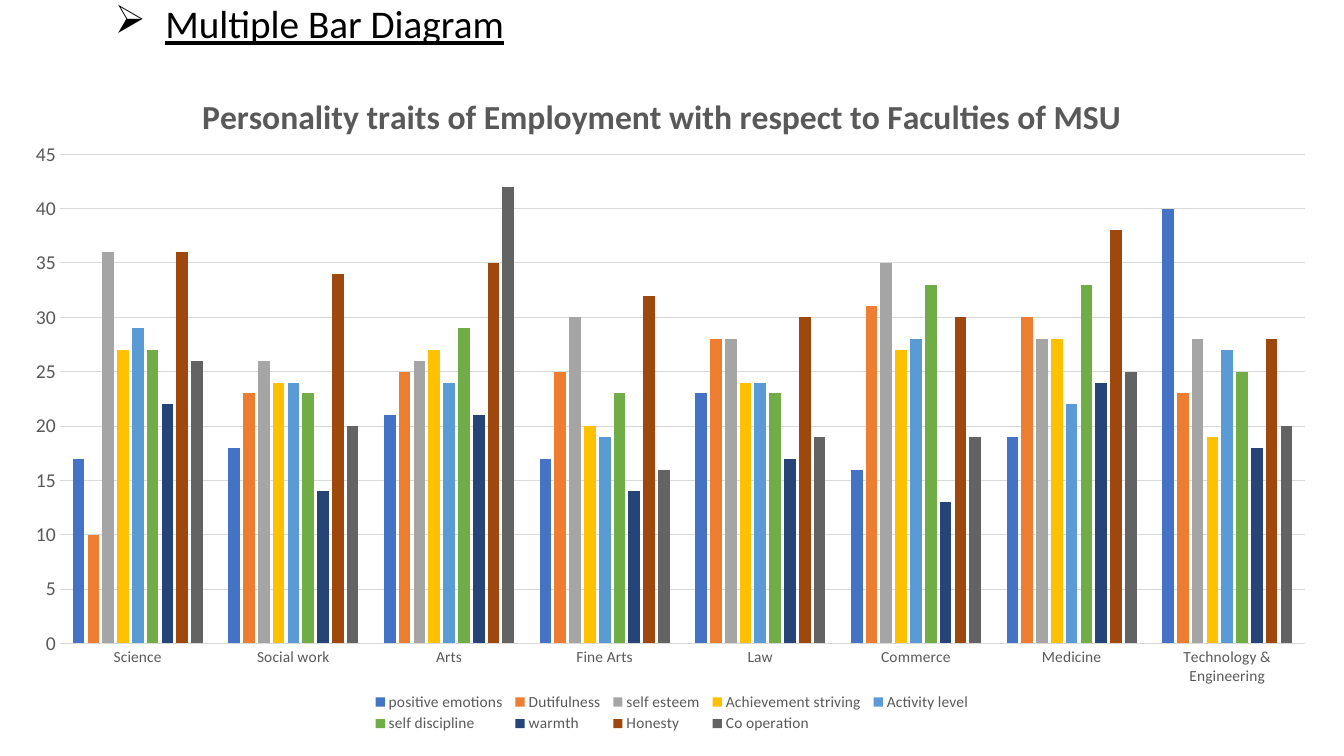
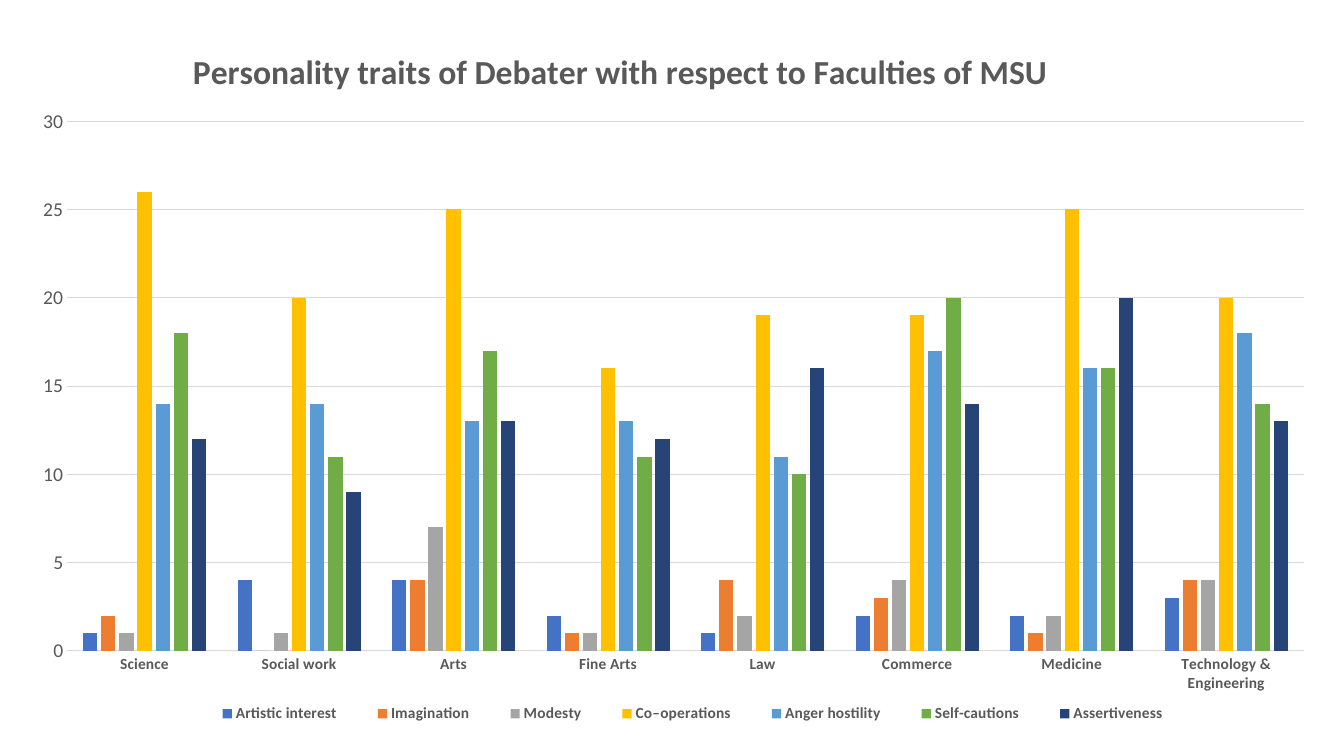
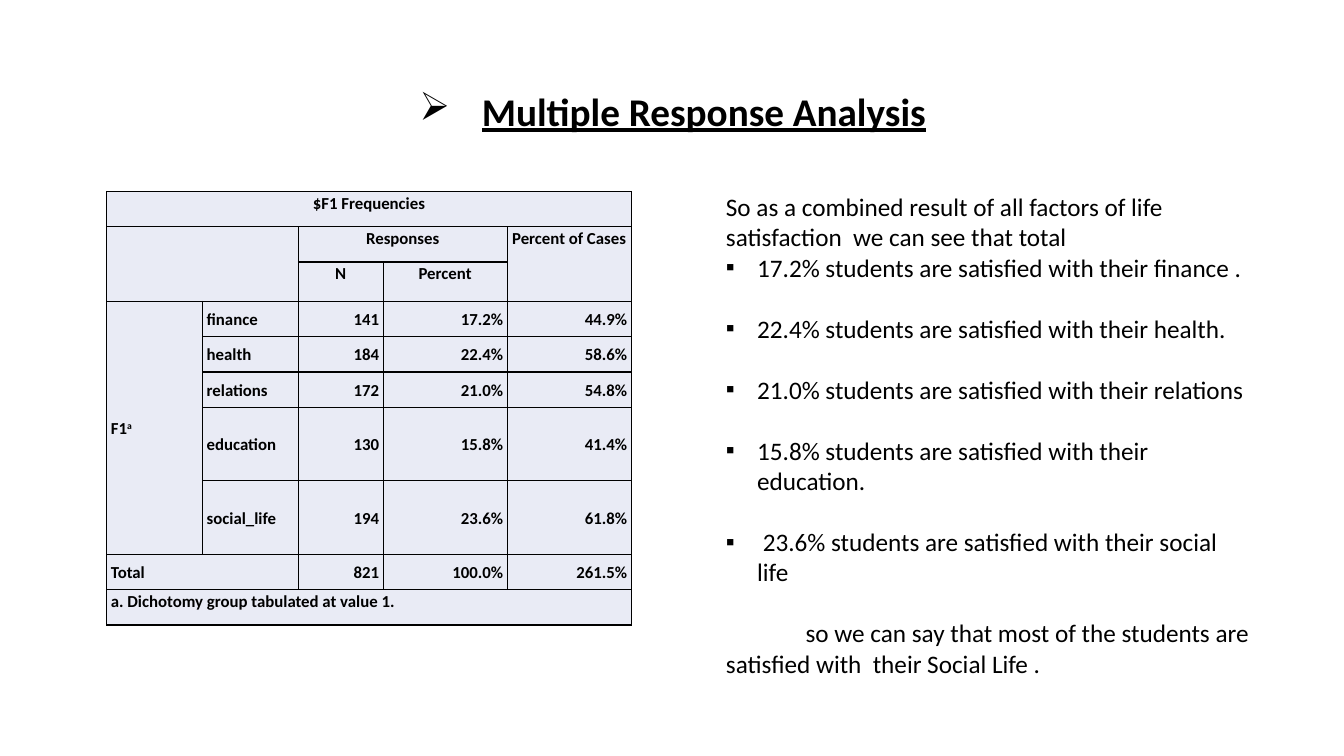
from lxml import etree
from pptx import Presentation
from pptx.chart.data import CategoryChartData
from pptx.dml.color import RGBColor
from pptx.enum.chart import XL_CHART_TYPE, XL_LEGEND_POSITION, XL_TICK_MARK
from pptx.enum.text import MSO_ANCHOR, MSO_AUTO_SIZE, PP_ALIGN
from pptx.oxml.ns import qn
from pptx.util import Inches, Pt

CLUSTERED = XL_CHART_TYPE.COLUMN_CLUSTERED
LEGEND_BOTTOM = XL_LEGEND_POSITION.BOTTOM
NO_TICK = XL_TICK_MARK.NONE
TOP, MIDDLE = MSO_ANCHOR.TOP, MSO_ANCHOR.MIDDLE
NO_AUTOFIT = MSO_AUTO_SIZE.NONE
LEFT, CENTER, RIGHT = PP_ALIGN.LEFT, PP_ALIGN.CENTER, PP_ALIGN.RIGHT

FONT = "Calibri"
BLACK = RGBColor(0x00, 0x00, 0x00)
GREY_TEXT = RGBColor(0x59, 0x59, 0x59)
GRID_GREY = RGBColor(0xD9, 0xD9, 0xD9)
CELL_FILL = RGBColor(0xE9, 0xEB, 0xF5)
SERIES_COLORS = [
    RGBColor(0x44, 0x72, 0xC4), RGBColor(0xED, 0x7D, 0x31), RGBColor(0xA5, 0xA5, 0xA5),
    RGBColor(0xFF, 0xC0, 0x00), RGBColor(0x5B, 0x9B, 0xD5), RGBColor(0x70, 0xAD, 0x47),
    RGBColor(0x26, 0x44, 0x78), RGBColor(0x9E, 0x48, 0x0E), RGBColor(0x63, 0x63, 0x63),
]
TITLE_ONLY, TITLE_AND_CONTENT, BLANK = 5, 1, 6
ARROW_BULLET, SQUARE_BULLET = "\u27a2", "\u25aa"

FACULTIES = ["Science", "Social work", "Arts", "Fine Arts", "Law", "Commerce",
             "Medicine", "Technology & Engineering"]
EMPLOYMENT_TRAITS = {
    "positive emotions": [17, 18, 21, 17, 23, 16, 19, 40],
    "Dutifulness": [10, 23, 25, 25, 28, 31, 30, 23],
    "self esteem": [36, 26, 26, 30, 28, 35, 28, 28],
    "Achievement striving": [27, 24, 27, 20, 24, 27, 28, 19],
    "Activity level": [29, 24, 24, 19, 24, 28, 22, 27],
    "self discipline": [27, 23, 29, 23, 23, 33, 33, 25],
    "warmth": [22, 14, 21, 14, 17, 13, 24, 18],
    "Honesty": [36, 34, 35, 32, 30, 30, 38, 28],
    "Co operation": [26, 20, 42, 16, 19, 19, 25, 20],
}
DEBATER_TRAITS = {
    "Artistic interest": [1, 4, 4, 2, 1, 2, 2, 3],
    "Imagination": [2, 0, 4, 1, 4, 3, 1, 4],
    "Modesty": [1, 1, 7, 1, 2, 4, 2, 4],
    "Co\u2013operations": [26, 20, 25, 16, 19, 19, 25, 20],
    "Anger hostility": [14, 14, 13, 13, 11, 17, 16, 18],
    "Self-cautions": [18, 11, 17, 11, 10, 20, 16, 14],
    "Assertiveness": [12, 9, 13, 12, 16, 14, 20, 13],
}
FREQUENCIES = [
    ["$F1 Frequencies", "", "", "", ""],
    ["", "", "Responses", "", "Percent of Cases"],
    ["", "", "N", "Percent", ""],
    ["F1", "finance", "141", "17.2%", "44.9%"],
    ["", "health", "184", "22.4%", "58.6%"],
    ["", "relations", "172", "21.0%", "54.8%"],
    ["", "education", "130", "15.8%", "41.4%"],
    ["", "social_life", "194", "23.6%", "61.8%"],
    ["Total", "", "821", "100.0%", "261.5%"],
    ["a. Dichotomy group tabulated at value 1.", "", "", "", ""],
]
HEADER_ROWS = 3
FOOTNOTE_ROW = len(FREQUENCIES) - 1
COLUMN_WIDTHS = [0.95, 0.95, 0.84, 1.23, 1.23]
ROW_HEIGHTS = [0.35, 0.35, 0.39, 0.35, 0.35, 0.35, 0.73, 0.73, 0.35, 0.35]
MERGES = [((0, 0), (0, 4)), ((1, 0), (2, 1)), ((1, 2), (1, 3)), ((1, 4), (2, 4)),
          ((3, 0), (7, 0)), ((8, 0), (8, 1)), ((9, 0), (9, 4))]
SATISFACTION = [
    "17.2% students are satisfied with their finance .",
    "22.4% students are satisfied with their health.",
    "21.0% students are satisfied with their relations",
    "15.8% students are satisfied with their education.",
    " 23.6% students are satisfied with their social life",
]


class Deck:
    def __init__(self):
        self.presentation = Presentation()
        self.presentation.slide_width = Inches(13.33)
        self.presentation.slide_height = Inches(7.5)
        self.slide = None

    def new_slide(self, layout):
        self.slide = self.presentation.slides.add_slide(
            self.presentation.slide_layouts[layout])
        for placeholder in list(self.slide.placeholders):
            if placeholder.placeholder_format.idx >= 10:
                placeholder.element.getparent().remove(placeholder.element)

    def font(self, font, size, color=BLACK, bold=False):
        font.name, font.size, font.bold = FONT, Pt(size), bold
        font.color.rgb = color

    def place(self, shape, box):
        shape.left, shape.top, shape.width, shape.height = map(Inches, box)

    def indent(self, paragraph, left, first, bullet=None):
        properties = paragraph._p.get_or_add_pPr()
        properties.set("marL", str(Inches(left)))
        properties.set("indent", str(Inches(first)))
        if bullet:
            etree.SubElement(properties, qn("a:buChar")).set("char", bullet)
        else:
            etree.SubElement(properties, qn("a:buNone"))

    def title(self, text, box, hang, align=LEFT, bold=False, bottom_inset=0.05):
        title = self.slide.shapes.title
        self.place(title, box)
        frame = title.text_frame
        frame.text = text
        frame.auto_size, frame.vertical_anchor = NO_AUTOFIT, MIDDLE
        frame.margin_bottom = Inches(bottom_inset)
        heading = frame.paragraphs[0]
        self.indent(heading, hang, -hang, ARROW_BULLET)
        heading.alignment, heading.line_spacing = align, 0.9
        self.font(heading.font, 28, bold=bold)
        heading.font.underline = True

    def findings(self, opening, items, conclusion, box):
        body = self.slide.placeholders[1]
        self.place(body, box)
        frame = body.text_frame
        frame.auto_size, frame.vertical_anchor = NO_AUTOFIT, TOP
        lines = [(opening, 0, 0, None, 0)]
        lines += [(item, 0.31, -0.31, SQUARE_BULLET, 22 if number else 0)
                  for number, item in enumerate(items)]
        lines.append((conclusion, 0, 0.79, None, 22))
        for number, (text, left, first, bullet, gap) in enumerate(lines):
            line = frame.add_paragraph() if number else frame.paragraphs[0]
            line.text = text
            self.indent(line, left, first, bullet)
            line.space_before = Pt(gap)
            self.font(line.font, 18)

    def chart_layout(self, part, position, x, y, w=None, h=None, inner=False):
        for previous in part.findall(qn("c:layout")):
            part.remove(previous)
        layout = etree.Element(qn("c:layout"))
        part.insert(position, layout)
        manual = etree.SubElement(layout, qn("c:manualLayout"))
        settings = [("layoutTarget", "inner" if inner else None),
                    ("xMode", "edge"), ("yMode", "edge"),
                    ("x", x), ("y", y), ("w", w), ("h", h)]
        for tag, value in settings:
            if value is not None:
                etree.SubElement(manual, qn("c:" + tag)).set("val", str(value))

    def bar_chart(self, heading, traits, box, top_value, heading_at, plot_at,
                  legend_at, bold_labels=False):
        data = CategoryChartData()
        data.categories = FACULTIES
        for trait, scores in traits.items():
            data.add_series(trait, scores)
        chart = self.slide.shapes.add_chart(CLUSTERED, *map(Inches, box), data).chart
        self.font(chart.font, 10)

        chart.has_title = True
        chart.chart_title.include_in_layout = False
        chart.chart_title.text_frame.text = heading
        self.font(chart.chart_title.text_frame.paragraphs[0].font, 24, GREY_TEXT, True)

        faculty_axis, score_axis = chart.category_axis, chart.value_axis
        for axis in (faculty_axis, score_axis):
            axis.major_tick_mark = axis.minor_tick_mark = NO_TICK
        self.font(faculty_axis.tick_labels.font, 11, GREY_TEXT, bold_labels)
        self.font(score_axis.tick_labels.font, 14, GREY_TEXT)
        score_axis.minimum_scale, score_axis.maximum_scale = 0, top_value
        score_axis.major_unit = 5
        score_axis.format.line.fill.background()
        for line in (faculty_axis.format.line, score_axis.major_gridlines.format.line):
            line.color.rgb, line.width = GRID_GREY, Pt(0.75)

        chart.has_legend = True
        chart.legend.position = LEGEND_BOTTOM
        chart.legend.include_in_layout = False
        self.font(chart.legend.font, 11, GREY_TEXT, bold_labels)

        bars = chart.plots[0]
        bars.gap_width, bars.overlap, bars.vary_by_categories = 219, -27, False
        for series, color in zip(bars.series, SERIES_COLORS):
            series.format.fill.solid()
            series.format.fill.fore_color.rgb = color

        plot_area = chart._chartSpace.chart.plotArea
        self.chart_layout(chart.chart_title._element, 1, *heading_at)
        self.chart_layout(plot_area, 0, *plot_at, inner=True)
        self.chart_layout(chart.legend._element, 1, *legend_at)

    def borders(self, cell):
        properties = cell._tc.get_or_add_tcPr()
        for position, side in enumerate(("a:lnL", "a:lnR", "a:lnT", "a:lnB")):
            line = etree.Element(qn(side), w=str(Pt(1)))
            fill = etree.SubElement(line, qn("a:solidFill"))
            etree.SubElement(fill, qn("a:srgbClr")).set("val", str(BLACK))
            properties.insert(position, line)

    def cell(self, cell, text, align, anchor):
        cell.margin_left = cell.margin_right = cell.margin_top = cell.margin_bottom = 0
        cell.vertical_anchor = anchor
        cell.fill.solid()
        cell.fill.fore_color.rgb = CELL_FILL
        self.borders(cell)
        cell.text = text
        entry = cell.text_frame.paragraphs[0]
        entry.alignment, entry.line_spacing = align, Pt(16)
        properties = entry._p.get_or_add_pPr()
        properties.set("marL", str(Inches(0.04)))
        properties.set("marR", str(Inches(0.04)))
        self.font(entry.font, 12, bold=True)

    def frequency_table(self, left, top):
        table = self.slide.shapes.add_table(
            len(ROW_HEIGHTS), len(COLUMN_WIDTHS), Inches(left), Inches(top),
            Inches(sum(COLUMN_WIDTHS)), Inches(sum(ROW_HEIGHTS))).table
        table.first_row = table.horz_banding = False
        for column, width in zip(table.columns, COLUMN_WIDTHS):
            column.width = Inches(width)
        for row, height in zip(table.rows, ROW_HEIGHTS):
            row.height = Inches(height)
        for row, entries in enumerate(FREQUENCIES):
            header = row < HEADER_ROWS
            anchor = TOP if header or row == FOOTNOTE_ROW else MIDDLE
            for column, text in enumerate(entries):
                align = CENTER if header else LEFT if column < 2 else RIGHT
                self.cell(table.cell(row, column), text, align, anchor)
        for first, last in MERGES:
            table.cell(*first).merge(table.cell(*last))
        footnote_mark = table.cell(HEADER_ROWS, 0).text_frame.paragraphs[0].add_run()
        footnote_mark.text = "a"
        footnote_mark.font._element.set("baseline", "30000")


deck = Deck()

deck.new_slide(TITLE_ONLY)
deck.title("Multiple Bar Diagram", (1.04, 0.18, 11.5, 0.61), 0.5, bottom_inset=0.5)
deck.bar_chart("Personality traits of Employment with respect to Faculties of MSU",
               EMPLOYMENT_TRAITS, (0.11, 0.81, 13.11, 6.49), 45,
               heading_at=(0.14, 0.01), plot_at=(0.037, 0.111, 0.942, 0.748),
               legend_at=(0.27, 0.93, 0.46, 0.07))

deck.new_slide(BLANK)
deck.bar_chart("Personality traits of Debater with respect to Faculties of MSU",
               DEBATER_TRAITS, (0.16, 0.14, 13.03, 7.23), 30,
               heading_at=(0.13, 0.04), plot_at=(0.039, 0.147, 0.941, 0.727),
               legend_at=(0.13, 0.94, 0.77, 0.04), bold_labels=True)

deck.new_slide(TITLE_AND_CONTENT)
deck.title("Multiple Response Analysis", (0.92, 0.4, 11.5, 1.45), 0.62, CENTER, bold=True)
deck.frequency_table(1.06, 1.9)
deck.findings(
    "So as a combined result of all factors of life satisfaction  we can see that total",
    SATISFACTION,
    "so we can say that most of the students are satisfied with  their Social Life .",
    (7.1, 1.85, 5.43, 5.25))

deck.presentation.save("out.pptx")
